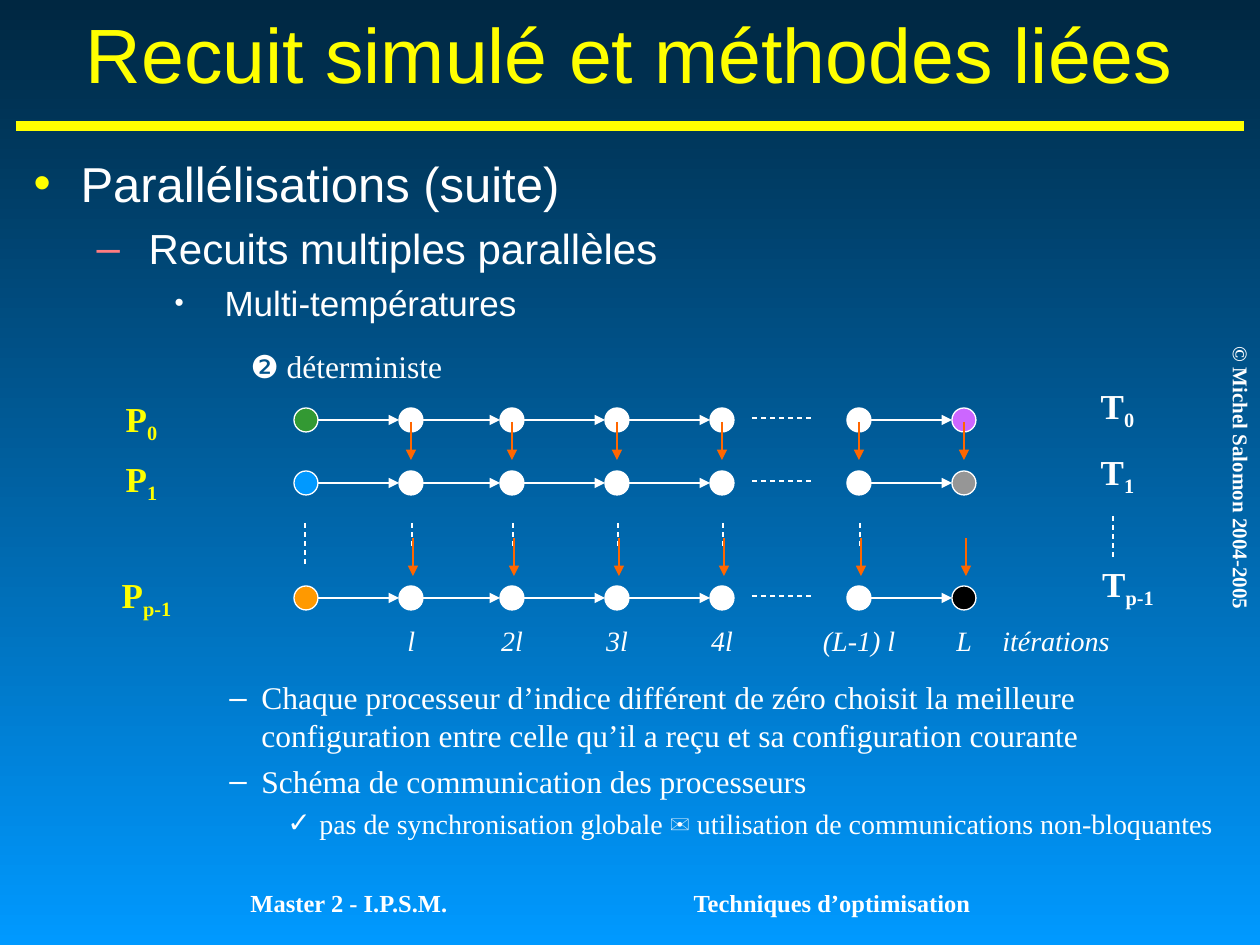
import pptx
import pptx.util
import pptx.dml.color
import pptx.enum.dml
import pptx.enum.shapes
import pptx.enum.text
import pptx.oxml.ns
from lxml import etree

SCALE = 914400 / 126
SERIF = "Times New Roman"
WHITE, YELLOW, ORANGE = "FFFFFF", "FFFF00", "FF6600"
CENTER = pptx.enum.text.PP_ALIGN.CENTER
qn = pptx.oxml.ns.qn


def px(value):
    return pptx.util.Emu(round(value * SCALE))


def color(value):
    return pptx.dml.color.RGBColor.from_string(value)


def place(shape, box):
    shape.left, shape.top, shape.width, shape.height = map(px, box)


def set_font(font, size, fill=WHITE, name=SERIF, bold=False, italic=False):
    font.size = pptx.util.Pt(size)
    font.name, font.bold, font.italic = name, bold, italic
    font.color.rgb = color(fill)


def set_bullet(paragraph, indent, hanging, char=None, fill=WHITE, percent=100):
    properties = paragraph._p.get_or_add_pPr()
    properties.set("marL", str(px(indent)))
    properties.set("indent", str(-px(hanging)))
    if char is None:
        etree.SubElement(properties, qn("a:buNone"))
        return
    bullet_color = etree.SubElement(properties, qn("a:buClr"))
    etree.SubElement(bullet_color, qn("a:srgbClr")).set("val", fill)
    etree.SubElement(properties, qn("a:buSzPct")).set("val", str(percent * 1000))
    etree.SubElement(properties, qn("a:buFont")).set("typeface", "Arial")
    etree.SubElement(properties, qn("a:buChar")).set("char", char)


def add_label(slide, box, text, size, subscript="", wrap=True, **style):
    shape = slide.shapes.add_textbox(*map(px, box))
    shape.text_frame.word_wrap = wrap
    paragraph = shape.text_frame.paragraphs[0]
    paragraph.alignment = CENTER
    set_font(paragraph.font, size, **style)
    paragraph.add_run().text = text
    if subscript:
        run = paragraph.add_run()
        run.text = subscript
        run.font._element.set("baseline", "-25000")
    return shape


def add_line(slide, start, end, fill=WHITE, width=0.75, arrow=False, dashed=False):
    line = slide.shapes.add_connector(
        pptx.enum.shapes.MSO_CONNECTOR.STRAIGHT, *map(px, (*start, *end)))
    line.line.color.rgb = color(fill)
    line.line.width = pptx.util.Pt(width)
    if dashed:
        line.line.dash_style = pptx.enum.dml.MSO_LINE.DASH
    if arrow:
        etree.SubElement(line.line._get_or_add_ln(), qn("a:tailEnd")).set("type", "triangle")
    etree.SubElement(line._element.spPr, qn("a:effectLst"))


def add_node(slide, x, y, fill, diameter=24):
    node = slide.shapes.add_shape(
        pptx.enum.shapes.MSO_SHAPE.OVAL,
        *map(px, (x - diameter / 2, y - diameter / 2, diameter, diameter)))
    node.shadow.inherit = False
    node.fill.solid()
    node.fill.fore_color.rgb = color(fill)
    node.line.color.rgb = color(WHITE)
    node.line.width = pptx.util.Pt(0.75)


def add_frame(slide):
    """Background, rule, footers and copyright line."""
    fill = slide.background.fill
    fill.gradient()
    fill.gradient_angle = 270
    for stop, value, position in zip(fill.gradient_stops, ("002741", "0099FF"), (0, 1)):
        stop.color.rgb = color(value)
        stop.position = position
    add_line(slide, (16, 126), (1244, 126), YELLOW, 6)
    add_label(slide, (1057, 459, 368, 38), "© Michel Salomon 2004-2005", 12, bold=True).rotation = 90
    for left, text in ((609, "Techniques d’optimisation"), (126, "Master 2 - I.P.S.M.")):
        add_label(slide, (left, 882, 446, 32), text, 14, bold=True)


def add_title(slide, box):
    title = slide.shapes.title
    place(title, box)
    frame = title.text_frame
    frame.text = "Recuit simulé et méthodes liées"
    frame.auto_size = pptx.enum.text.MSO_AUTO_SIZE.NONE
    frame.vertical_anchor = pptx.enum.text.MSO_ANCHOR.MIDDLE
    frame.paragraphs[0].alignment = CENTER
    set_font(frame.paragraphs[0].font, 44, YELLOW, "Arial")


def add_list(frame, items):
    """Items: level, runs as (text, font), size, space before, bullet arguments."""
    frame.word_wrap = True
    frame.auto_size = pptx.enum.text.MSO_AUTO_SIZE.NONE
    for index, (level, runs, size, space, bullet) in enumerate(items):
        paragraph = frame.add_paragraph() if index else frame.paragraphs[0]
        paragraph.level = level
        set_bullet(paragraph, *bullet)
        paragraph.space_before = pptx.util.Pt(space if index else 0)
        set_font(paragraph.font, size, name=runs[0][1])
        for text, name in runs:
            run = paragraph.add_run()
            run.text = text
            if name != runs[0][1]:
                run.font.name = name


def add_outline(slide, box):
    body = slide.placeholders[1]
    place(body, box)
    add_list(body.text_frame, [
        (0, [("Parallélisations (suite)", "Arial")], 28, 7, (47, 47, "•", YELLOW)),
        (1, [("Recuits multiples parallèles", "Arial")], 24, 6, (115, 52, "–", "FF7C80")),
        (2, [("Multi-températures", "Arial")], 20, 5, (191, 50, "•", WHITE, 75)),
        (3, [("❷", "Arial"), (" déterministe", SERIF)], 18, 4.5, (249, 32)),
    ])
    body.text_frame.paragraphs[-1].line_spacing = 1.4


def add_diagram(slide, left, top):
    """Processor chains, one row each, exchanging downwards."""
    columns = [left + x for x in (201, 306, 407, 512, 617, 754, 859)]
    rows = [top + y for y in (42, 105, 220)]
    end_fills = (("339933", "CC66FF"), ("0099FF", "969696"), ("FF9900", "000000"))
    radius = 12

    # Chains
    for y, (first, last) in zip(rows, end_fills):
        fills = [first] + [WHITE] * (len(columns) - 2) + [last]
        for x, fill in zip(columns, fills):
            add_node(slide, x, y, fill)
        for index, (x, following) in enumerate(zip(columns, columns[1:])):
            if index == 4:
                add_line(slide, (x + 30, y - 2), (x + 92, y - 2), dashed=True)
            else:
                add_line(slide, (x + radius, y), (following - radius, y), arrow=True)

    # Omitted rows
    add_line(slide, (columns[0] - 1, top + 145), (columns[0] - 1, top + 188), dashed=True)
    for x in columns[1:-1]:
        add_line(slide, (x + 1, top + 145), (x + 1, top + 170), dashed=True)
    add_line(slide, (left + 1008, top + 138), (left + 1008, top + 180), dashed=True)

    # Exchanges
    for x in columns[1:]:
        for shift, y in ((0, top + 44), (2, top + 160)):
            add_line(slide, (x + shift, y), (x + shift, y + 38), ORANGE, arrow=True)

    # Processors and temperatures
    for index, p_top, t_top, p_width, t_width in (
            ("0", 13, 0, 73, 73), ("1", 73, 66, 73, 73), ("p-1", 189, 178, 83, 94)):
        add_label(slide, (left, top + p_top, p_width, 60), "P", 20, index, fill=YELLOW, bold=True)
        add_label(slide, (left + 976, top + t_top, t_width, 60), "T", 20, index, bold=True)

    # Iteration axis
    names = ("l", "2l", "3l", "4l", "(L-1) l", "L", "itérations")
    widths = (32, 47, 47, 47, 97, 40, 132)
    for x, text, width in zip(columns[1:] + [left + 951], names, widths):
        add_label(slide, (x - width / 2, top + 239, width, 47), text, 16, wrap=False, italic=True)


def add_remarks(slide, box):
    shape = slide.shapes.add_textbox(*map(px, box))
    dash, check = (228, 32, "–"), (286, 32, "✓")
    add_list(shape.text_frame, [
        (3, [("Chaque processeur d’indice différent de zéro choisit la meilleure "
              "configuration entre celle qu’il a reçu et sa configuration courante", SERIF)],
         18, 4.5, dash),
        (3, [("Schéma de communication des processeurs", SERIF)], 18, 4.5, dash),
        (4, [("pas de synchronisation globale ", SERIF), ("✉", "Calibri"),
             (" utilisation de communications non-bloquantes", SERIF)], 16, 4, check),
    ])


def main():
    presentation = pptx.Presentation()
    presentation.slide_width, presentation.slide_height = px(1260), px(945)
    slide = presentation.slides.add_slide(presentation.slide_layouts[1])
    add_frame(slide)
    add_title(slide, (21, 0, 1218, 105))
    add_outline(slide, (21, 147, 1218, 242))
    add_diagram(slide, 105, 378)
    add_remarks(slide, (21, 672, 1239, 168))
    presentation.save("out.pptx")


if __name__ == "__main__":
    main()
